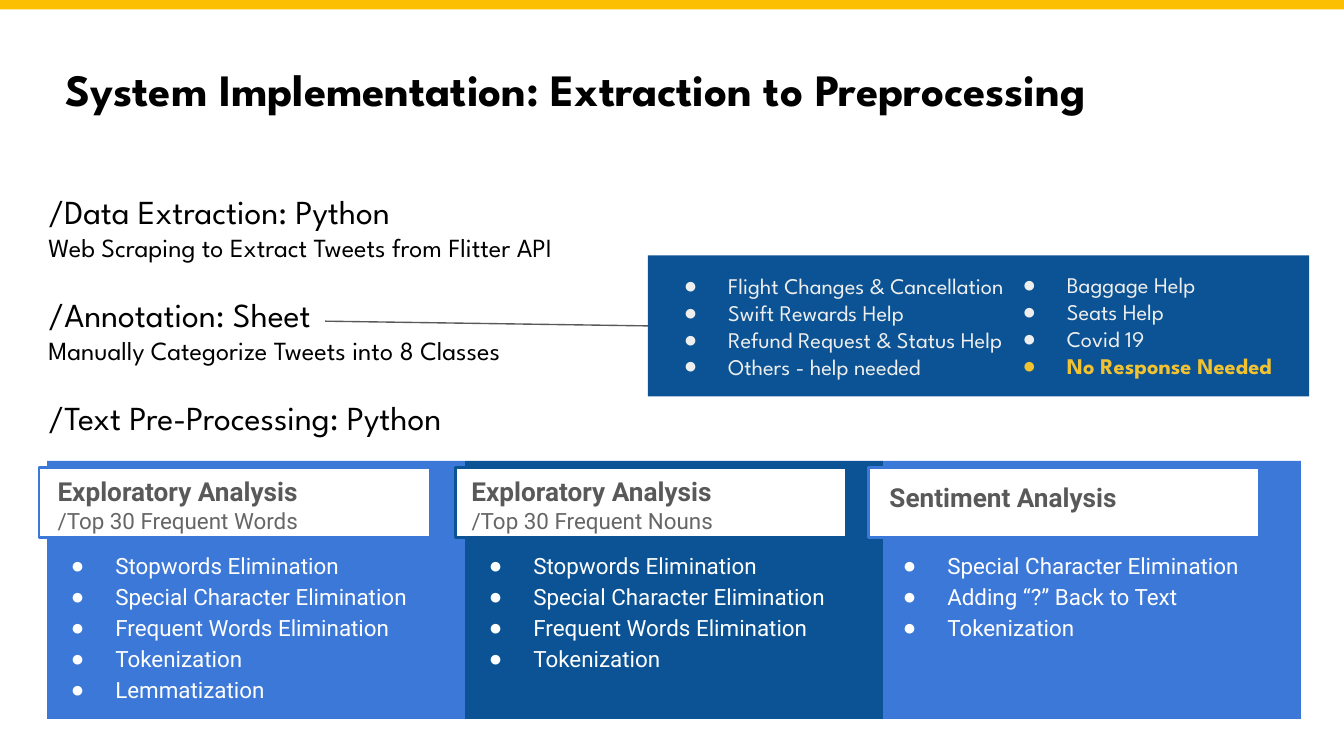
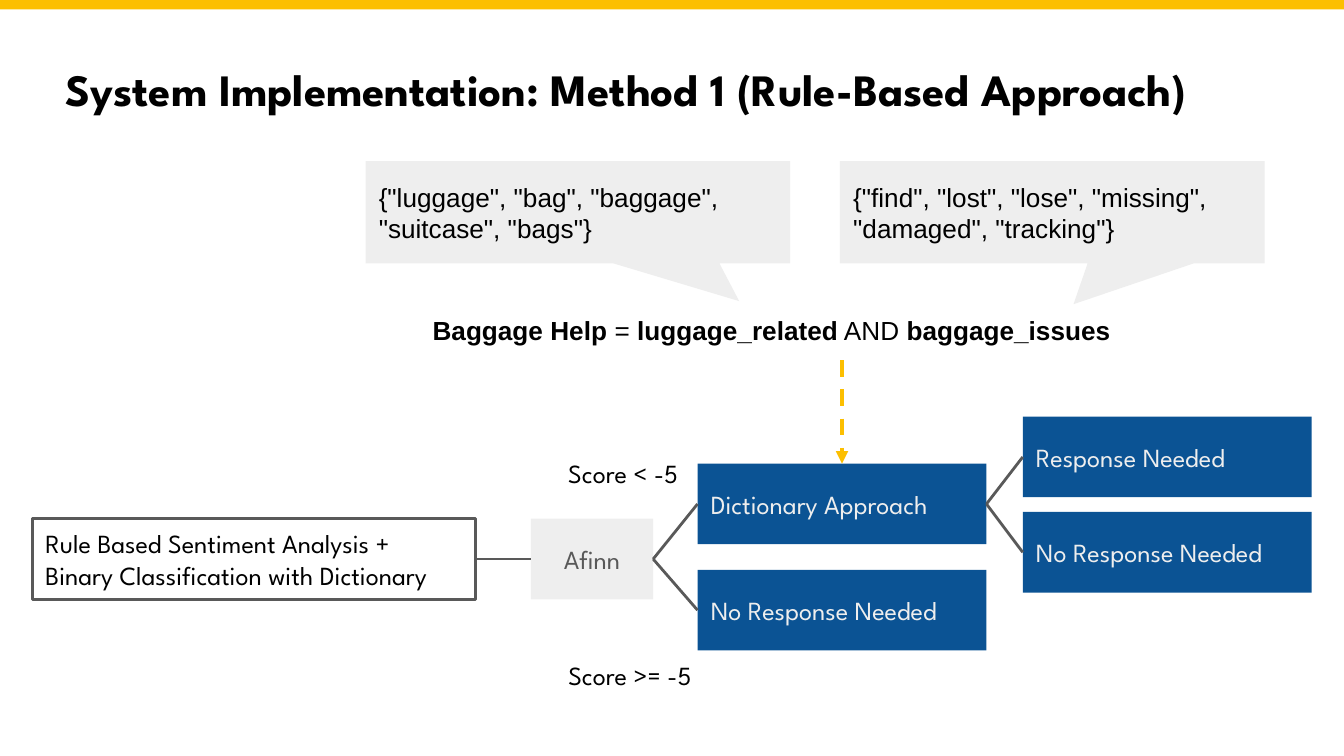
from lxml import etree
from pptx import Presentation
from pptx import util as u
from pptx.dml.color import RGBColor
from pptx.enum import dml, shapes, text
from pptx.oxml.ns import qn

COLORS = {
    "yellow": "FCBF01",
    "gold": "F1C232",
    "navy": "0B5394",
    "blue": "3C78D8",
    "white": "FFFFFF",
    "pale": "EEEEEE",
    "dark": "595959",
    "gray": "666666",
    "black": "000000",
}
RECTANGLE = shapes.MSO_SHAPE.RECTANGLE
CALLOUT = shapes.MSO_SHAPE.RECTANGULAR_CALLOUT


def add_box(slide, box, fill=None, line=None, kind=RECTANGLE, placeholder=None):
    """Place a filled shape, a given placeholder, or a text box when neither is asked for."""
    left, top, width, height = (u.Inches(length) for length in box)
    if placeholder is not None:
        shape = placeholder
        shape.left, shape.top, shape.width, shape.height = left, top, width, height
    elif fill:
        shape = slide.shapes.add_shape(kind, left, top, width, height)
        shape.shadow.inherit = False
        shape.fill.solid()
        shape.fill.fore_color.rgb = RGBColor.from_string(COLORS[fill])
        if line:
            shape.line.color.rgb = RGBColor.from_string(COLORS[line])
            shape.line.width = u.Pt(1.5)
        else:
            shape.line.fill.background()
    else:
        shape = slide.shapes.add_textbox(left, top, width, height)
    frame = shape.text_frame
    frame.word_wrap = True
    frame.auto_size = text.MSO_AUTO_SIZE.NONE
    frame.vertical_anchor = text.MSO_ANCHOR.MIDDLE if fill else text.MSO_ANCHOR.TOP
    frame.margin_left = frame.margin_right = u.Inches(0.1)
    frame.margin_top = frame.margin_bottom = u.Inches(0.1)
    return shape


def write(shape, content, size=14, color="black", font="League Spartan", bold=False,
          align=text.PP_ALIGN.LEFT, bullet=False, spacing=1.0, before=0):
    """Add one paragraph; parts between double asterisks are bold."""
    frame = shape.text_frame
    paragraph = frame.paragraphs[0] if not frame.text else frame.add_paragraph()
    paragraph.alignment = align
    paragraph.line_spacing = spacing
    paragraph.space_before = u.Pt(before)
    properties = paragraph._p.get_or_add_pPr()
    properties.set("marL", str(u.Inches(0.5 if bullet else 0)))
    properties.set("indent", str(u.Inches(-0.33 if bullet else 0)))
    if bullet:
        bullet_color = etree.SubElement(properties, qn("a:buClr"))
        etree.SubElement(bullet_color, qn("a:srgbClr"), val=COLORS[color])
        etree.SubElement(properties, qn("a:buFont"), typeface="Arial")
        etree.SubElement(properties, qn("a:buChar"), char="●")
    else:
        etree.SubElement(properties, qn("a:buNone"))
    for index, part in enumerate(content.split("**")):
        if part:
            run = paragraph.add_run()
            run.text = part
            run.font.name = font
            run.font.size = u.Pt(size)
            run.font.bold = bold or index % 2 == 1
            run.font.color.rgb = RGBColor.from_string(COLORS[color])


presentation = Presentation()
presentation.slide_width = u.Inches(10)
presentation.slide_height = u.Inches(10 * 9 / 16)

# Shared title and top band
slides = []
for layout, title in [
    (1, "System Implementation: Extraction to Preprocessing"),
    (5, "System Implementation: Method 1 (Rule-Based Approach)"),
]:
    slide = presentation.slides.add_slide(presentation.slide_layouts[layout])
    heading = add_box(slide, (0.39, 0.36, 9.11, 0.56), placeholder=slide.shapes.title)
    write(heading, title, size=24, bold=True)
    add_box(slide, (0, 0, 10, 0.07), fill="yellow")
    slides.append(slide)
extraction, method = slides

# Slide 1: pipeline stages
stages = add_box(extraction, (0.26, 1.32, 9.11, 2.05), placeholder=extraction.placeholders[1])
for number, (stage, detail) in enumerate([
    ("/Data Extraction: Python", "Web Scraping to Extract Tweets from Flitter API"),
    ("/Annotation: Sheet", "Manually Categorize Tweets into 8 Classes"),
    ("/Text Pre-Processing: Python", None),
]):
    write(stages, stage, size=18, before=16.8 if number else 0)
    if detail:
        write(stages, detail)

# Slide 1: preprocessing panels
stopwords, special, frequent, tokens = (
    "Stopwords Elimination", "Special Character Elimination",
    "Frequent Words Elimination", "Tokenization",
)
panels = [
    ("blue", 0.29, 0.33, 0.26, "Exploratory Analysis", "/Top 30 Frequent Words",
     [stopwords, special, frequent, tokens, "Lemmatization"]),
    ("navy", 3.39, 3.41, 3.37, "Exploratory Analysis", "/Top 30 Frequent Nouns",
     [stopwords, special, frequent, tokens]),
    ("blue", 6.46, 6.52, 6.45, "Sentiment Analysis", None,
     [special, "Adding “?” Back to Text", tokens]),
]
for column, (color, tag_left, name_left, list_left, name, subtitle, steps) in enumerate(panels):
    add_box(extraction, (0.35 + 3.11 * column, 3.43, 3.11, 1.92), fill=color)
    add_box(extraction, (tag_left, 3.48, 2.91, 0.52), fill="white", line=color)
    name_box = add_box(extraction, (name_left, 3.44 if subtitle else 3.48, 2.07, 0.31))
    write(name_box, name, color="dark", font="Roboto", bold=True)
    if subtitle:
        subtitle_box = add_box(extraction, (name_left, 3.67, 2.02, 0.25))
        write(subtitle_box, subtitle, size=12, color="gray", font="Roboto")
    step_list = add_box(extraction, (list_left, 3.98, 3.2, 1.42))
    for step in steps:
        write(step_list, step, size=12, color="white", font="Roboto", bullet=True, spacing=1.15)

# Slide 1: the eight classes
classes = add_box(extraction, (4.82, 1.9, 4.92, 1.05), fill="navy")
more_classes = add_box(extraction, (7.34, 1.92, 2.4, 1.01))
for class_box, names in [
    (classes, ["Flight Changes & Cancellation", "Swift Rewards Help",
               "Refund Request & Status Help", "Others - help needed"]),
    (more_classes, ["Baggage Help", "Seats Help", "Covid 19"]),
]:
    for name in names:
        write(class_box, name, size=12, color="pale", bullet=True)
write(more_classes, "No Response Needed", size=12, color="gold", bold=True, bullet=True)

# Slide 2: decision flow
approach = add_box(method, (0.24, 3.86, 3.3, 0.6), fill="white", line="dark")
write(approach, "Rule Based Sentiment Analysis +")
write(approach, "Binary Classification with Dictionary")
afinn = add_box(method, (3.95, 3.86, 0.91, 0.6), fill="pale")
write(afinn, "Afinn", color="dark", align=text.PP_ALIGN.CENTER)
for top, width, score in [(3.3, 1.06, "Score < -5"), (4.81, 1.31, "Score >= -5")]:
    write(add_box(method, (4.13, top, width, 0.44)), score)

outcomes = []
for left, top, label in [
    (5.19, 3.45, "Dictionary Approach"),
    (5.19, 4.24, "No Response Needed"),
    (7.61, 3.1, "Response Needed"),
    (7.61, 3.81, "No Response Needed"),
]:
    outcome = add_box(method, (left, top, 2.15, 0.6), fill="navy")
    write(outcome, label, color="pale")
    outcomes.append(outcome)
dictionary, unanswered, needed, not_needed = outcomes

# Slide 2: dictionary rule and its word lists
rule = add_box(method, (3.12, 2.24, 6.29, 0.44))
write(rule, "**Baggage Help** = **luggage_related** AND **baggage_issues**", font="Arial")
for left, tip, words in [
    (2.72, (0.38, 0.87), '{"luggage", "bag", "baggage", "suitcase", "bags"}'),
    (6.25, (0.05, 0.9), '{"find", "lost", "lose", "missing", "damaged", "tracking"}'),
]:
    callout = add_box(method, (left, 1.2, 3.16, 0.76), fill="pale", kind=CALLOUT)
    callout.adjustments[0], callout.adjustments[1] = tip
    write(callout, words, font="Arial")

# Connectors of both slides; sides: 0 top, 1 left, 2 bottom, 3 right
for slide, start, start_side, end, end_side, color, width in [
    (extraction, None, None, classes, 1, "dark", 0.75),
    (method, approach, 3, afinn, 1, "dark", 1.5),
    (method, afinn, 3, dictionary, 1, "dark", 1.5),
    (method, afinn, 3, unanswered, 1, "dark", 1.5),
    (method, dictionary, 3, needed, 1, "dark", 1.5),
    (method, dictionary, 3, not_needed, 1, "dark", 1.5),
    (method, rule, 2, dictionary, 0, "yellow", 2.25),
]:
    connector = slide.shapes.add_connector(
        shapes.MSO_CONNECTOR.STRAIGHT,
        u.Inches(2.42), u.Inches(2.39), u.Inches(4.82), u.Inches(2.43))
    if start is not None:
        connector.begin_connect(start, start_side)
    connector.end_connect(end, end_side)
    connector.line.color.rgb = RGBColor.from_string(COLORS[color])
    connector.line.width = u.Pt(width)
    if start is rule:
        connector.line.dash_style = dml.MSO_LINE.DASH
        etree.SubElement(connector.line._get_or_add_ln(), qn("a:tailEnd"), type="triangle")
    etree.SubElement(connector._element.spPr, qn("a:effectLst"))

presentation.save("out.pptx")
